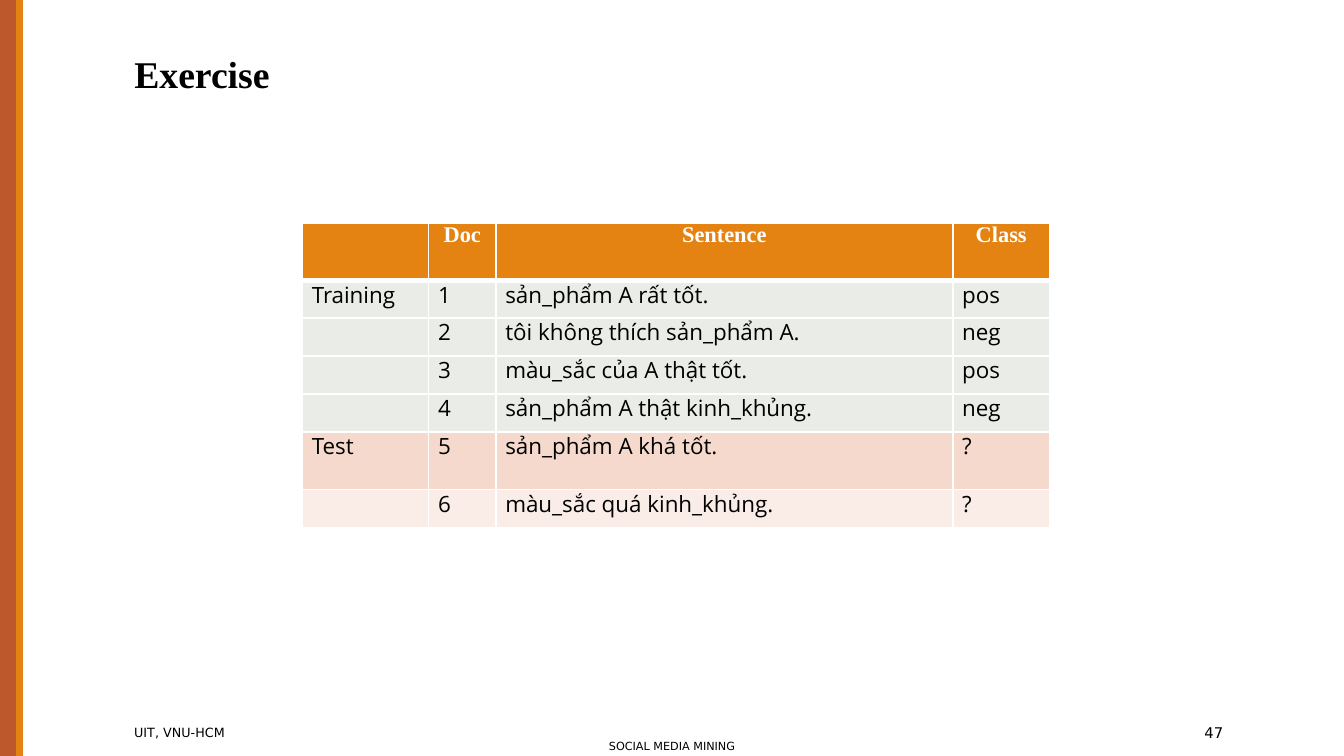
from dataclasses import dataclass

import pptx
import pptx.dml.color
import pptx.enum.shapes
import pptx.enum.text
import pptx.oxml
import pptx.oxml.ns
import pptx.util
from pptx.util import Inches

ALIGN = pptx.enum.text.PP_ALIGN
ANCHOR = pptx.enum.text.MSO_ANCHOR

# Widescreen page, 16:9
SLIDE_WIDTH = 10
SLIDE_HEIGHT = SLIDE_WIDTH * 9 / 16


@dataclass(frozen=True)
class Theme:
    rust: str = "BD582C"
    orange: str = "E48312"
    white: str = "FFFFFF"
    black: str = "000000"
    training: str = "EAECE7"
    test: str = "F5D9CC"
    test_light: str = "FAEDE7"
    serif: str = "Times New Roman"
    body: str = "Open Sans"
    footer: str = "DejaVu Sans"
    title_size: float = 20.2
    table_size: float = 12
    number_size: float = 7.9
    institute_size: float = 6.8
    course_size: float = 6


THEME = Theme()

ROWS = [
    ("", "Doc", "Sentence", "Class"),
    ("Training", "1", "sản_phẩm A rất tốt.", "pos"),
    ("", "2", "tôi không thích sản_phẩm A.", "neg"),
    ("", "3", "màu_sắc của A thật tốt.", "pos"),
    ("", "4", "sản_phẩm A thật kinh_khủng.", "neg"),
    ("Test", "5", "sản_phẩm A khá tốt.", "?"),
    ("", "6", "màu_sắc quá kinh_khủng.", "?"),
]
ROW_FILLS = [THEME.orange] + [THEME.training] * 4 + [THEME.test, THEME.test_light]
COLUMN_WIDTHS = [0.94, 0.5, 3.4, 0.72]
# The four training rows share what the other rows leave
TABLE_HEIGHT, TALL_ROW, LAST_ROW = 2.22, 0.43, 0.26
TRAINING_ROW = (TABLE_HEIGHT - 2 * TALL_ROW - LAST_ROW) / 4
ROW_HEIGHTS = [TALL_ROW] + [TRAINING_ROW] * 4 + [TALL_ROW, LAST_ROW]


def rgb(value):
    return pptx.dml.color.RGBColor.from_string(value)


def add_run(paragraph, text, font, size, color=THEME.black, bold=False):
    run = paragraph.add_run()
    run.text = text
    run.font.name = font
    run.font.size = pptx.util.Pt(size)
    run.font.color.rgb = rgb(color)
    run.font.bold = bold


def add_side_bars(slide, left, top, height):
    # The narrow orange bar covers the right edge of the rust one
    for offset, width, color in ((0, 0.21, THEME.rust), (0.16, 0.05, THEME.orange)):
        bar = slide.shapes.add_shape(
            pptx.enum.shapes.MSO_SHAPE.RECTANGLE,
            Inches(left + offset), Inches(top), Inches(width), Inches(height))
        bar.shadow.inherit = False
        bar.fill.solid()
        bar.fill.fore_color.rgb = rgb(color)
        bar.line.fill.background()


def add_title(slide, left, top, width, height):
    title = slide.shapes.title
    title.left, title.top = Inches(left), Inches(top)
    title.width, title.height = Inches(width), Inches(height)
    frame = title.text_frame
    frame.word_wrap = True
    frame.vertical_anchor = ANCHOR.TOP
    paragraph = frame.paragraphs[0]
    paragraph.alignment = ALIGN.LEFT
    add_run(paragraph, "Exercise", THEME.serif, THEME.title_size, bold=True)


def set_borders(cell, top_width, bottom_width):
    properties = cell._tc.get_or_add_tcPr()
    widths = {"lnL": 1, "lnR": 1, "lnT": top_width, "lnB": bottom_width}
    for index, (side, width) in enumerate(widths.items()):
        properties.insert(index, pptx.oxml.parse_xml(
            f'<a:{side} {pptx.oxml.ns.nsdecls("a")} w="{pptx.util.Pt(width)}">'
            f'<a:solidFill><a:srgbClr val="{THEME.white}"/></a:solidFill></a:{side}>'))


def fill_cell(cell, text, row_index):
    is_header = row_index == 0
    cell.fill.solid()
    cell.fill.fore_color.rgb = rgb(ROW_FILLS[row_index])
    set_borders(cell, 3 if row_index == 1 else 1, 3 if is_header else 1)
    cell.margin_left = cell.margin_right = Inches(0.07)
    cell.margin_top = cell.margin_bottom = Inches(0.04)
    paragraph = cell.text_frame.paragraphs[0]
    paragraph.line_spacing = 0.7
    paragraph.alignment = ALIGN.CENTER if is_header else ALIGN.LEFT
    if not text:
        # The end mark's size keeps an empty cell from stretching its row
        paragraph._p.append(pptx.oxml.parse_xml(
            f'<a:endParaRPr {pptx.oxml.ns.nsdecls("a")} sz="{THEME.table_size * 100}"/>'))
    elif is_header:
        add_run(paragraph, text, THEME.serif, THEME.table_size, THEME.white, True)
    else:
        add_run(paragraph, text, THEME.body, THEME.table_size)


def add_sentence_table(slide, left, top):
    table = slide.shapes.add_table(
        len(ROWS), len(COLUMN_WIDTHS), Inches(left), Inches(top),
        Inches(sum(COLUMN_WIDTHS)), Inches(TABLE_HEIGHT)).table
    table.horz_banding = False
    for column, width in zip(table.columns, COLUMN_WIDTHS):
        column.width = Inches(width)
    for row_index, texts in enumerate(ROWS):
        table.rows[row_index].height = Inches(ROW_HEIGHTS[row_index])
        for column_index, text in enumerate(texts):
            fill_cell(table.cell(row_index, column_index), text, row_index)


def add_footer(slide, left, top, width):
    # Offset from the footer's corner, size, text, type size, alignment
    parts = [
        (width - 1.08, 0, 1.08, 0.3, "47", THEME.number_size, ALIGN.RIGHT),
        (0, 0, 2.03, 0.3, "UIT, VNU-HCM", THEME.institute_size, ALIGN.LEFT),
        (2.12, 0.2, 3.96, 0.1, "SOCIAL MEDIA MINING", THEME.course_size, ALIGN.CENTER),
    ]
    for x, y, box_width, box_height, text, size, alignment in parts:
        box = slide.shapes.add_textbox(
            Inches(left + x), Inches(top + y), Inches(box_width), Inches(box_height))
        frame = box.text_frame
        frame.word_wrap = True
        frame.vertical_anchor = ANCHOR.MIDDLE
        paragraph = frame.paragraphs[0]
        paragraph.alignment = alignment
        add_run(paragraph, text, THEME.footer, size)


def main():
    presentation = pptx.Presentation()
    presentation.slide_width = Inches(SLIDE_WIDTH)
    presentation.slide_height = Inches(SLIDE_HEIGHT)
    slide = presentation.slides.add_slide(presentation.slide_layouts[5])
    slide.background.fill.solid()
    slide.background.fill.fore_color.rgb = rgb(THEME.white)

    add_side_bars(slide, -0.04, 0, SLIDE_HEIGHT)
    add_title(slide, 0.9, 0.33, 2.44, 0.44)
    add_sentence_table(slide, 2.25, 1.66)
    add_footer(slide, 0.9, 5.3, 8.3)
    presentation.save("out.pptx")


if __name__ == "__main__":
    main()
